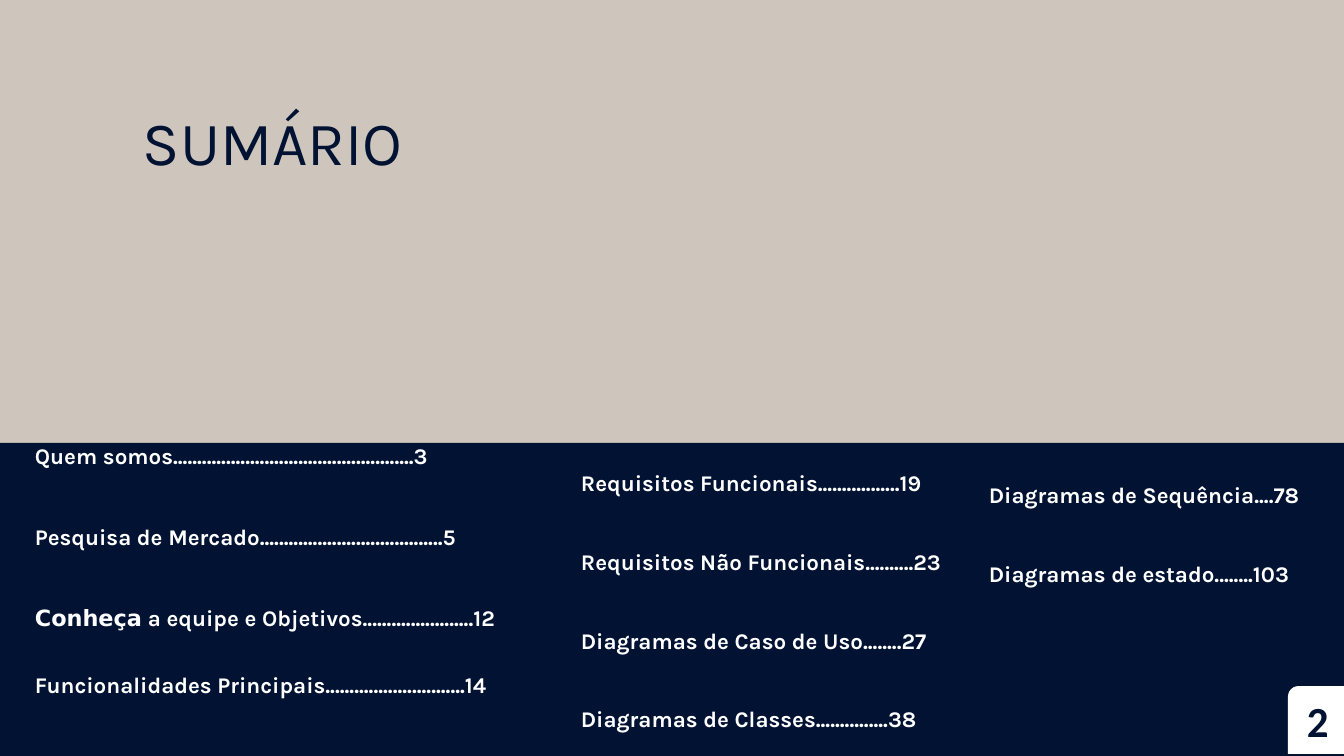
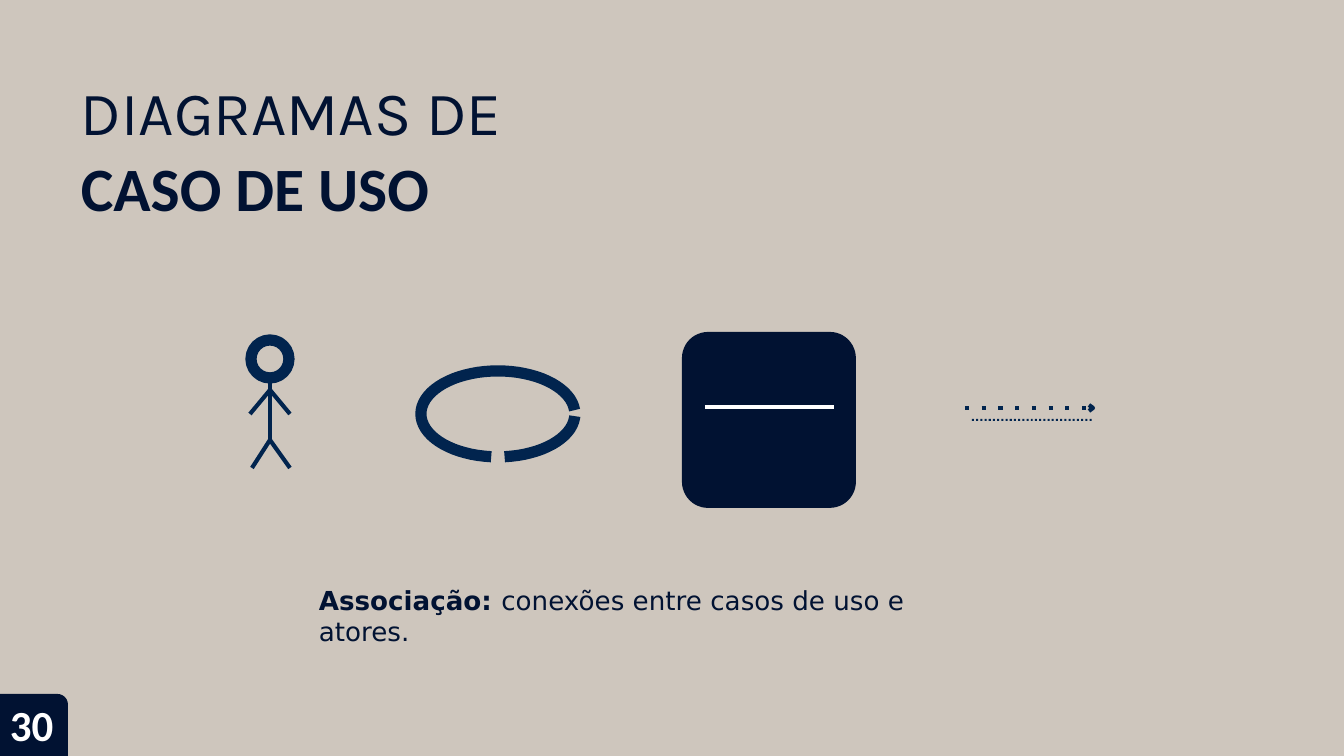
from dataclasses import dataclass
from math import cos, radians, sin

from pptx import Presentation
from pptx.dml.color import RGBColor
from pptx.enum.dml import MSO_LINE_DASH_STYLE as Dash
from pptx.enum.shapes import MSO_CONNECTOR as Connector, MSO_SHAPE as Shape
from pptx.enum.text import MSO_ANCHOR as Anchor, MSO_AUTO_SIZE as AutoSize, PP_ALIGN as Align
from pptx.oxml.ns import qn
from pptx.oxml.xmlchemy import OxmlElement
from pptx.util import Emu, Pt

COLORS = {"sand": "CEC6BD", "navy": "011232", "blue": "01244E", "white": "FFFFFF"}
TEXT, NUMBER, FALLBACK = "Karla", "Calibri", "DejaVu Sans"
EMU_PER_PX = 914400 / 134.4
TIGHT, ROOMY = (0, 1, 0, 0), (13, 7, 13, 7)  # text insets in px


def px(length):
    return Emu(round(length * EMU_PER_PX))


def rgb(name):
    return RGBColor.from_string(COLORS[name])


@dataclass
class Line:
    """A paragraph: (text, font, bold) runs, space before in pt and line spacing."""
    runs: list
    before: float = 0
    spacing: float = 1


class Deck:
    def __init__(self, width, height):
        self.prs = Presentation()
        self.prs.slide_width, self.prs.slide_height = px(width), px(height)
        background = self.prs.slide_master.background.fill
        background.solid()
        background.fore_color.rgb = rgb("sand")
        self.slide = None

    def new_slide(self, layout):
        self.slide = self.prs.slides.add_slide(self.prs.slide_layouts.get_by_name(layout))

    def drop_empty(self):
        for holder in list(self.slide.placeholders):
            if not holder.text_frame.text:
                holder._element.getparent().remove(holder._element)

    # Text
    def set_lines(self, box, lines, size, color, insets):
        frame = box.text_frame
        frame.word_wrap = True
        frame.auto_size = AutoSize.SHAPE_TO_FIT_TEXT
        frame.vertical_anchor = Anchor.TOP
        (frame.margin_left, frame.margin_top,
         frame.margin_right, frame.margin_bottom) = map(px, insets)
        for index, line in enumerate(lines):
            paragraph = frame.add_paragraph() if index else frame.paragraphs[0]
            properties = paragraph._p.get_or_add_pPr()
            properties.set("marL", str(Pt(1)))
            properties.set("indent", "0")
            properties.append(OxmlElement("a:buNone"))
            paragraph.alignment = Align.LEFT
            paragraph.space_before = Pt(line.before)
            paragraph.line_spacing = line.spacing
            for text, font, bold in line.runs:
                run = paragraph.add_run()
                run.text = text
                run.font.name, run.font.size, run.font.bold = font, Pt(size), bold
                run.font.color.rgb = rgb(color)

    def place(self, holder, at, lines, size, color, insets):
        holder.left, holder.top, holder.width, holder.height = map(px, at)
        self.slide.shapes._spTree.append(holder._element)  # bring to front
        self.set_lines(holder, lines, size, color, insets)

    def title(self, at, lines):
        self.place(self.slide.shapes.title, at, lines, 33, "navy", TIGHT)

    def body(self, index, at, lines, size, color, insets=ROOMY):
        self.place(self.slide.placeholders[index], at, lines, size, color, insets)

    def page_number(self, number, tab_at, text_at, fill, color, rotation=0):
        tab = self.shape(Shape.ROUND_1_RECTANGLE, (*tab_at, 68, 62), fill, corner=0.17)
        tab.rotation = rotation
        box = self.slide.shapes.add_textbox(*map(px, text_at))
        self.set_lines(box, [Line([(number, NUMBER, True)])], 23, color, (3, 3, 0, 0))

    # Drawing
    def paint(self, shape, fill=None, line=None, weight=2.25):
        shape.shadow.inherit = False
        if fill:
            shape.fill.solid()
            shape.fill.fore_color.rgb = rgb(fill)
        else:
            shape.fill.background()
        if line:
            shape.line.color.rgb = rgb(line)
            shape.line.width = Pt(weight)
        else:
            shape.line.fill.background()
        return shape

    def shape(self, kind, at, fill=None, line=None, weight=2.25, corner=None):
        shape = self.slide.shapes.add_shape(kind, *map(px, at))
        if corner is not None:
            shape.adjustments[0] = corner
        return self.paint(shape, fill, line, weight)

    def outline(self, contours, closed=False, **style):
        builder = None
        for contour in contours:
            start, *rest = [(px(x), px(y)) for x, y in contour]
            if builder:
                builder.move_to(*start)
            else:
                builder = self.slide.shapes.build_freeform(*start)
            builder.add_line_segments(rest, close=closed)
        return self.paint(builder.convert_to_shape(), **style)

    def line(self, start, end, color="blue", dotted=False):
        line = self.slide.shapes.add_connector(
            Connector.STRAIGHT, *map(px, (*start, *end)))
        line.line.color.rgb = rgb(color)
        line.line.width = Pt(2.25)
        if dotted:
            line.line.dash_style = Dash.ROUND_DOT
            for dash in line._element.iter(qn("a:prstDash")):
                dash.set("val", "dot")
        line._element.spPr.append(OxmlElement("a:effectLst"))


def entries(texts, before=21, spacing=1.47):
    return [Line([(text, TEXT, True)], before if index else 0, spacing)
            for index, text in enumerate(texts)]


def summary_slide(deck):
    deck.new_slide("Comparison")
    deck.title((141, 103, 302, 77), [Line([("SUMÁRIO", TEXT, False)])])
    deck.shape(Shape.RECTANGLE, (0, 443, 1351, 313), "navy")

    # Contents in three columns
    opening = entries(["Quem somos..................................................3",
                       "Pesquisa de Mercado......................................5"], 29, 1)
    opening += [
        Line([("Conheça", FALLBACK, True),
              (" a equipe e Objetivos.......................12", TEXT, True)], 29),
        Line([("Funcionalidades Principais.............................14", TEXT, True)],
             15, 1.47),
    ]
    requirements = entries(["Requisitos Funcionais.................19",
                            "Requisitos Não Funcionais..........23",
                            "Diagramas de Caso de Uso........27",
                            "Diagramas de Classes...............38"])
    diagrams = entries(["Diagramas de Sequência....78", "Diagramas de estado........103"])
    columns = [((20, 435, 544, 380), opening),
               ((566, 450, 426, 410), requirements),
               ((974, 462, 492, 128), diagrams)]
    for index, (at, lines) in enumerate(columns, start=1):
        deck.body(index, at, lines, 12, "white")

    deck.page_number("2", (1285, 689), (1302, 692, 30, 52), "white", "navy", rotation=270)
    deck.drop_empty()


def use_case_slide(deck):
    deck.new_slide("Title and Content")

    # Actor
    deck.shape(Shape.OVAL, (251, 340, 38, 38), line="blue", weight=6)
    neck, shoulders, hips = (270, 378), (270, 390), (270, 440)
    deck.line(neck, hips)
    for joint, end in [(shoulders, (290, 414)), (shoulders, (250, 414)),
                       (hips, (290, 468)), (hips, (252, 468))]:
        deck.line(joint, end)

    # Use case: an ellipse open at the right and at the bottom
    def arc(first, last):
        angles = [*range(first, last, -5), last]
        return [(498 + 77 * cos(radians(a)), 414 + 43 * sin(radians(a))) for a in angles]

    deck.outline([arc(85, 3), arc(-5, -265)], line="blue", weight=6)

    # Association
    deck.shape(Shape.ROUNDED_RECTANGLE, (682, 332, 174, 176), "navy", corner=0.15)
    deck.line((705, 407), (834, 407), "white")

    # Dotted arrow above a row of small squares
    deck.line((965, 408), (1093, 408), dotted=True)
    deck.outline([[(1089, 405), (1093, 408), (1089, 411)]], line="blue")
    lefts = [972 + 4.2 * index for index in range(29)]
    deck.outline([[(x, 419), (x + 2, 419), (x + 2, 421), (x, 421)] for x in lefts],
                 closed=True, fill="blue")

    deck.title((79, 73, 511, 153), [Line([("DIAGRAMAS DE", TEXT, False)]),
                                    Line([("CASO DE USO", NUMBER, True)], before=1)])
    deck.body(1, (317, 583, 677, 65),
              [Line([("Associação: ", FALLBACK, True),
                     ("conexões entre casos de uso e atores.", FALLBACK, False)])],
              14, "navy", TIGHT)
    deck.page_number("30", (0, 694), (5, 696, 82, 56), "navy", "white")


def main():
    deck = Deck(1344, 756)
    summary_slide(deck)
    use_case_slide(deck)
    deck.prs.save("out.pptx")


if __name__ == "__main__":
    main()
